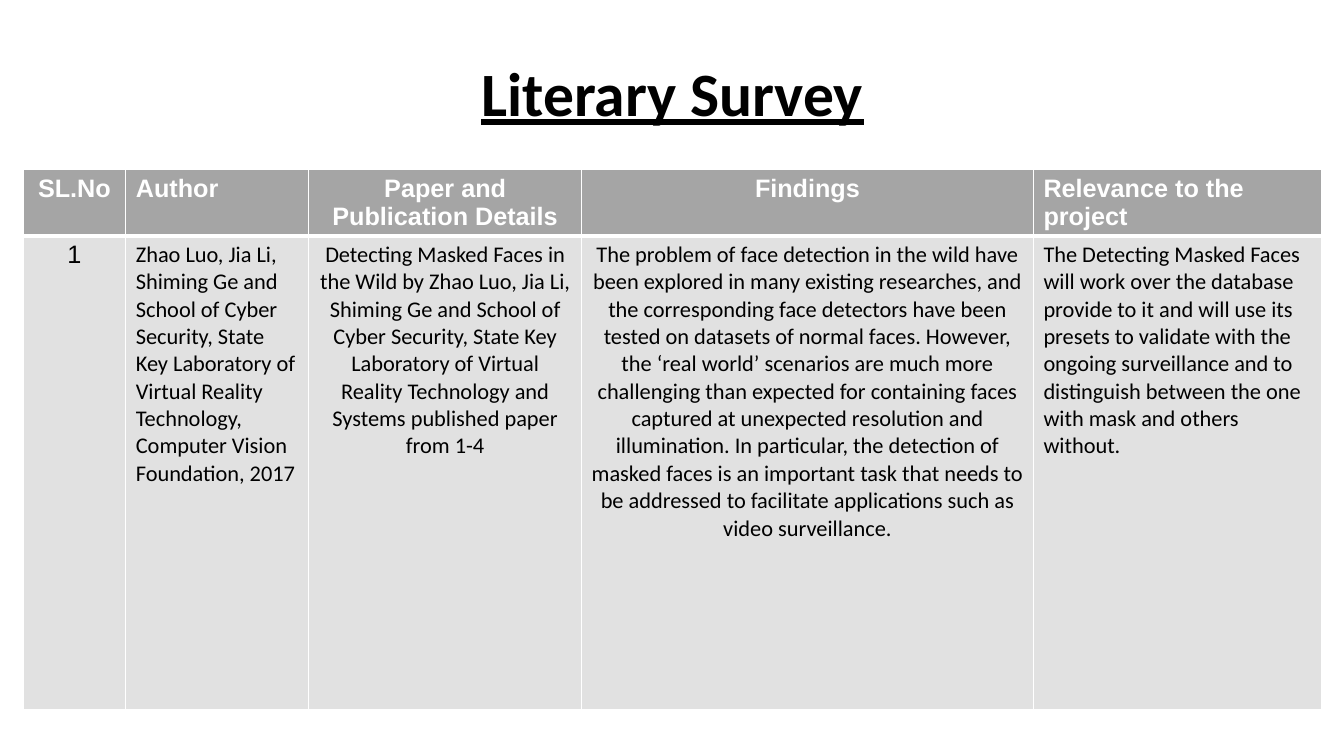
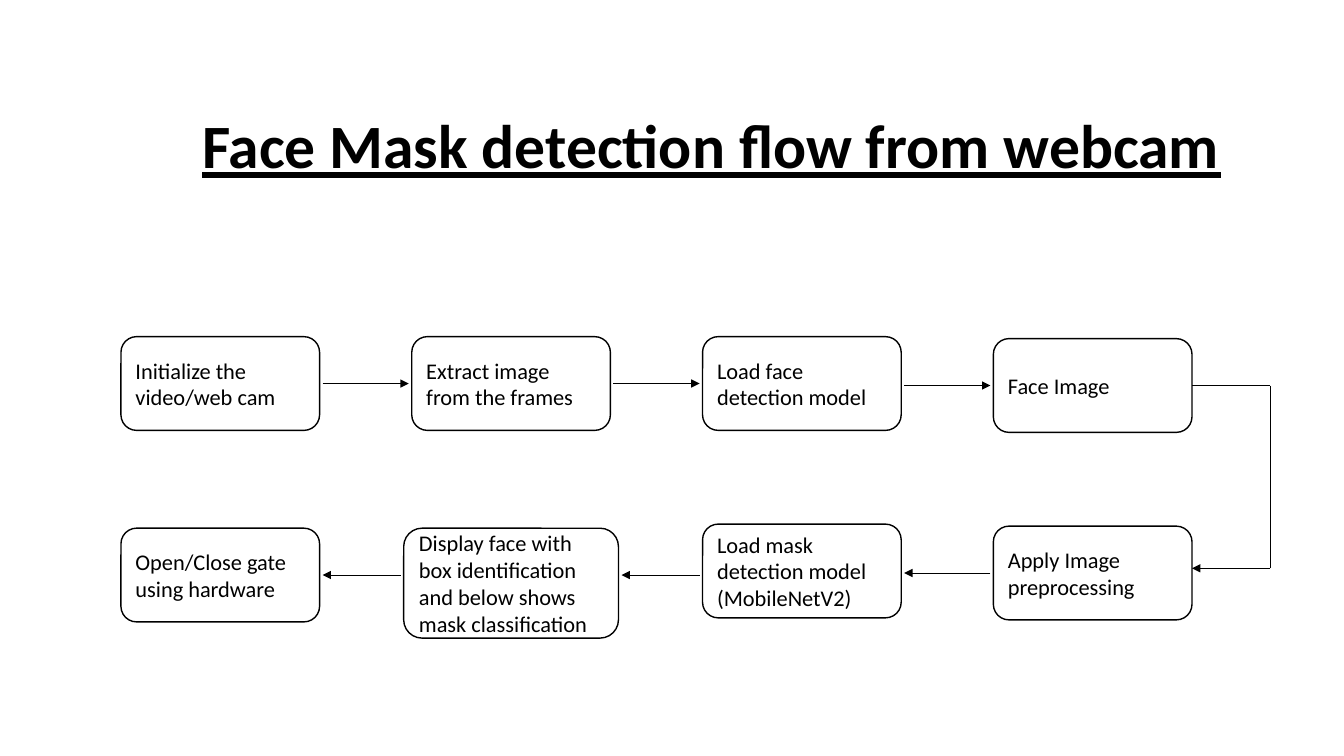
from dataclasses import dataclass

import lxml.etree
import pptx
import pptx.dml.color
import pptx.enum.shapes
import pptx.enum.text
import pptx.oxml.ns
import pptx.util

ALIGN = pptx.enum.text.PP_ALIGN
ANCHOR = pptx.enum.text.MSO_ANCHOR


@dataclass(frozen=True)
class Theme:
    # Colours
    ink: str = "000000"
    paper: str = "FFFFFF"
    header_fill: str = "A5A5A5"
    body_fill: str = "E1E1E1"
    # Fonts and sizes in points
    text_font: str = "Calibri"
    table_font: str = "Arial"
    title_size: int = 44
    heading_size: int = 18
    text_size: int = 16
    # Line widths in points
    box_line: float = 1
    arrow_line: float = 0.5
    cell_line: float = 1
    header_line: float = 3


@dataclass(frozen=True)
class Box:
    left: float
    top: float
    width: float
    height: float

    @property
    def right(self):
        return self.left + self.width

    def inches(self):
        return [pptx.util.Inches(value)
                for value in (self.left, self.top, self.width, self.height)]


THEME = Theme()
SLIDE = Box(0, 0, 13.33, 7.5)
TITLE_ONLY = 5

# Literature table: column shares, headings and the one entry
COLUMN_SHARES = (0.079, 0.141, 0.21, 0.348, 0.222)
ROW_HEIGHTS = (0.62, 4.7)
COLUMN_ALIGN = (ALIGN.CENTER, ALIGN.LEFT, ALIGN.CENTER, ALIGN.CENTER, ALIGN.LEFT)
HEADINGS = ("SL.No", "Author", "Paper and Publication Details", "Findings",
            "Relevance to the project")
ENTRY = (
    "1",
    "Zhao Luo, Jia Li, Shiming Ge and School of Cyber Security, State Key "
    "Laboratory of Virtual Reality Technology, Computer Vision Foundation, 2017",
    "Detecting Masked Faces in the Wild by Zhao Luo, Jia Li, Shiming Ge and "
    "School of Cyber Security, State Key Laboratory of Virtual Reality "
    "Technology and Systems published paper from 1-4",
    "The problem of face detection in the wild have been explored in many "
    "existing researches, and the corresponding face detectors have been tested "
    "on datasets of normal faces. However, the ‘real world’ scenarios are much "
    "more challenging than expected for containing faces captured at unexpected "
    "resolution and illumination. In particular, the detection of masked faces "
    "is an important task that needs to be addressed to facilitate applications "
    "such as video surveillance.",
    "The Detecting Masked Faces will work over the database provide to it and "
    "will use its presets to validate with the ongoing surveillance and to "
    "distinguish between the one with mask and others without.",
)

# Flow steps in reading order: text, column, top within the flow, extra size
FLOW_STEPS = (
    ("Initialize the video/web cam", 0, 0, 0),
    ("Extract image from the frames", 1, 0, 0),
    ("Load face detection model", 2, 0, 0),
    ("Face Image", 3, 0.02, 0),
    ("Apply Image preprocessing", 3, 1.88, 0),
    ("Load mask detection model (MobileNetV2)", 2, 1.86, 0),
    ("Display face with box identification and below shows mask classification",
     1, 1.9, 0.16),
    ("Open/Close gate using hardware", 0, 1.9, 0),
)
STEP_WIDTH, STEP_HEIGHT = 1.97, 0.93
ARROW_GAP = 0.03


def color(value):
    return pptx.dml.color.RGBColor.from_string(value)


def format_text(paragraph, font_name, size, ink, bold=False, underline=False):
    for run in paragraph.runs:
        run.font.name = font_name
        run.font.size = pptx.util.Pt(size)
        run.font.color.rgb = color(ink)
        run.font.bold = bold
        run.font.underline = underline


def add_titled_slide(presentation, text, box, line_spacing):
    """Add a title-only slide with the shared bold underlined title."""
    slide = presentation.slides.add_slide(presentation.slide_layouts[TITLE_ONLY])
    title = slide.shapes.title
    title.left, title.top, title.width, title.height = box.inches()
    frame = title.text_frame
    frame.text = text
    frame.auto_size = pptx.enum.text.MSO_AUTO_SIZE.NONE
    frame.vertical_anchor = ANCHOR.MIDDLE
    paragraph = frame.paragraphs[0]
    paragraph.alignment = ALIGN.CENTER
    paragraph.line_spacing = line_spacing
    format_text(paragraph, THEME.text_font, THEME.title_size, THEME.ink, True, True)
    return slide


# Table
def set_borders(cell, widths):
    properties = cell._tc.get_or_add_tcPr()
    for side, width in zip("LRTB", widths):
        line = lxml.etree.SubElement(
            properties, pptx.oxml.ns.qn(f"a:ln{side}"), w=str(pptx.util.Pt(width)))
        fill = lxml.etree.SubElement(line, pptx.oxml.ns.qn("a:solidFill"))
        lxml.etree.SubElement(fill, pptx.oxml.ns.qn("a:srgbClr"), val=THEME.paper)


def fill_cell(cell, text, alignment, is_header, is_number):
    thin, thick = THEME.cell_line, THEME.header_line
    set_borders(cell, (thin, thin, thin, thick) if is_header
                else (thin, thin, thick, thin))
    cell.fill.solid()
    cell.fill.fore_color.rgb = color(
        THEME.header_fill if is_header else THEME.body_fill)
    cell.text_frame.text = text
    paragraph = cell.text_frame.paragraphs[0]
    paragraph.alignment = alignment
    large = is_header or is_number
    format_text(paragraph,
                THEME.table_font if large else THEME.text_font,
                THEME.heading_size if large else THEME.text_size,
                THEME.paper if is_header else THEME.ink, is_header)


def add_survey_table(slide, box):
    rows = (HEADINGS, ENTRY)
    table = slide.shapes.add_table(len(rows), len(HEADINGS), *box.inches()).table
    for column, share in zip(table.columns, COLUMN_SHARES):
        column.width = pptx.util.Inches(box.width * share)
    for row, height in zip(table.rows, ROW_HEIGHTS):
        row.height = pptx.util.Inches(height)
    for row_index, texts in enumerate(rows):
        for column_index, text in enumerate(texts):
            fill_cell(table.cell(row_index, column_index), text,
                      COLUMN_ALIGN[column_index], row_index == 0, column_index == 0)


# Flow chart
def add_step(slide, text, box):
    shape = slide.shapes.add_shape(
        pptx.enum.shapes.MSO_SHAPE.ROUNDED_RECTANGLE, *box.inches())
    shape.shadow.inherit = False
    shape.fill.solid()
    shape.fill.fore_color.rgb = color(THEME.paper)
    shape.line.color.rgb = color(THEME.ink)
    shape.line.width = pptx.util.Pt(THEME.box_line)
    frame = shape.text_frame
    frame.text = text
    frame.word_wrap = True
    frame.vertical_anchor = ANCHOR.MIDDLE
    frame.paragraphs[0].alignment = ALIGN.LEFT
    format_text(frame.paragraphs[0], THEME.text_font, THEME.text_size, THEME.ink)


def add_line(slide, start, end, arrow=True):
    connector = slide.shapes.add_connector(
        pptx.enum.shapes.MSO_CONNECTOR.STRAIGHT,
        *[pptx.util.Inches(value) for value in (*start, *end)])
    connector.line.color.rgb = color(THEME.ink)
    connector.line.width = pptx.util.Pt(THEME.arrow_line)
    if arrow:
        lxml.etree.SubElement(connector.line._get_or_add_ln(),
                              pptx.oxml.ns.qn("a:tailEnd"), type="triangle")
    lxml.etree.SubElement(connector._element.spPr, pptx.oxml.ns.qn("a:effectLst"))


def add_turn(slide, upper, lower, edge):
    """Join the two rows with a line that turns at the right edge."""
    upper_middle = upper.top + STEP_HEIGHT / 2
    lower_middle = lower.top + STEP_HEIGHT * 0.45
    points = ((upper.right, upper_middle), (edge, upper_middle),
              (edge, lower_middle), (lower.right, lower_middle))
    for index in range(3):
        add_line(slide, points[index], points[index + 1], arrow=index == 2)


def add_flow(slide, box):
    pitch = 0.253 * box.width
    boxes = []
    for text, column, top, extra in FLOW_STEPS:
        # A larger step grows evenly to both sides and downwards
        step = Box(box.left + column * pitch - extra / 2, box.top + top,
                   STEP_WIDTH + extra, STEP_HEIGHT + extra)
        add_step(slide, text, step)
        boxes.append(step)
    for source, target in zip(boxes, boxes[1:]):
        middle = max(source.top, target.top) + STEP_HEIGHT / 2
        if target.left > source.right:
            add_line(slide, (source.right + ARROW_GAP, middle),
                     (target.left - ARROW_GAP, middle))
        elif target.right < source.left:
            add_line(slide, (source.left - ARROW_GAP, middle),
                     (target.right + ARROW_GAP, middle))
        else:
            add_turn(slide, source, target, box.right)


def main():
    presentation = pptx.Presentation()
    presentation.slide_width = pptx.util.Inches(SLIDE.width)
    presentation.slide_height = pptx.util.Inches(SLIDE.height)

    survey = add_titled_slide(presentation, "Literary Survey",
                              Box(0.92, 0.23, 11.5, 1.45), 0.9)
    add_survey_table(survey, Box(0.23, 1.68, 12.88, sum(ROW_HEIGHTS)))

    flow = add_titled_slide(presentation, "Face Mask detection flow from webcam",
                            Box(1.77, 1.01, 10.57, 0.84), 1.0)
    add_flow(flow, Box(1.2, 3.34, 11.4, 3))

    presentation.save("out.pptx")


if __name__ == "__main__":
    main()
